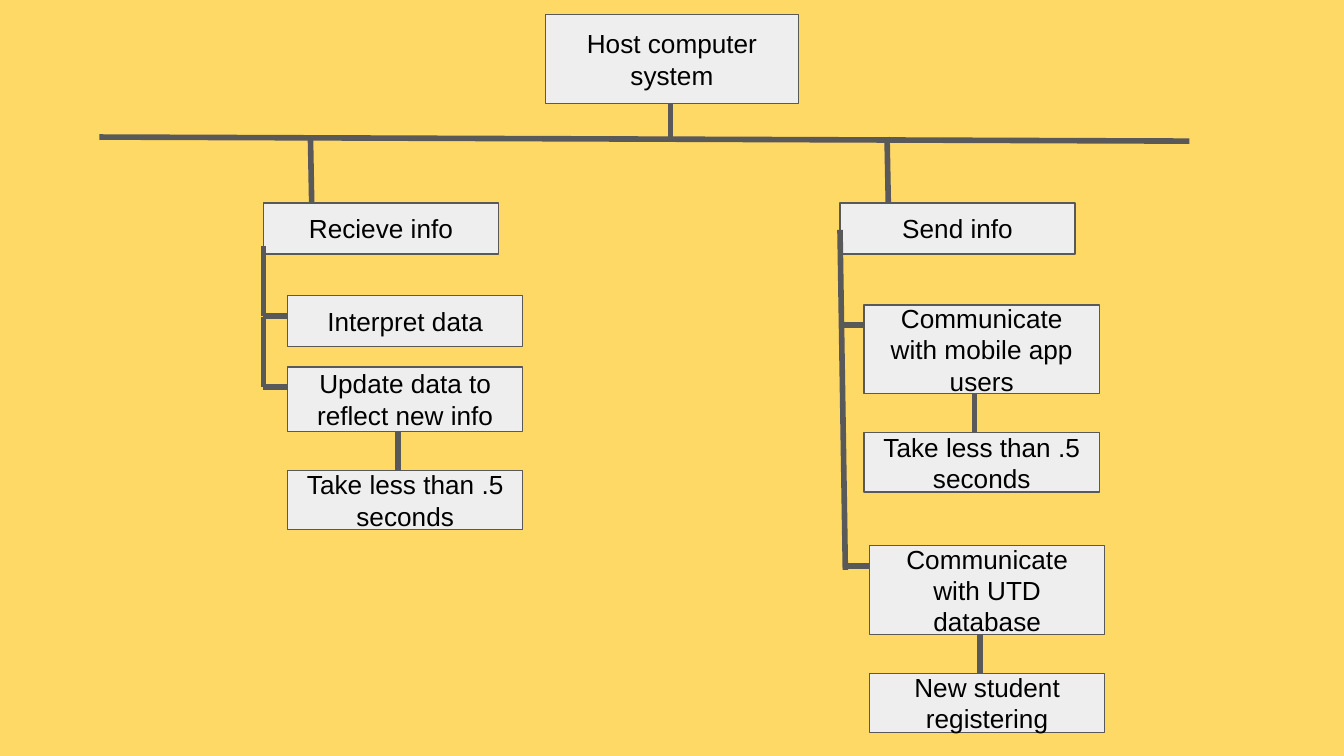
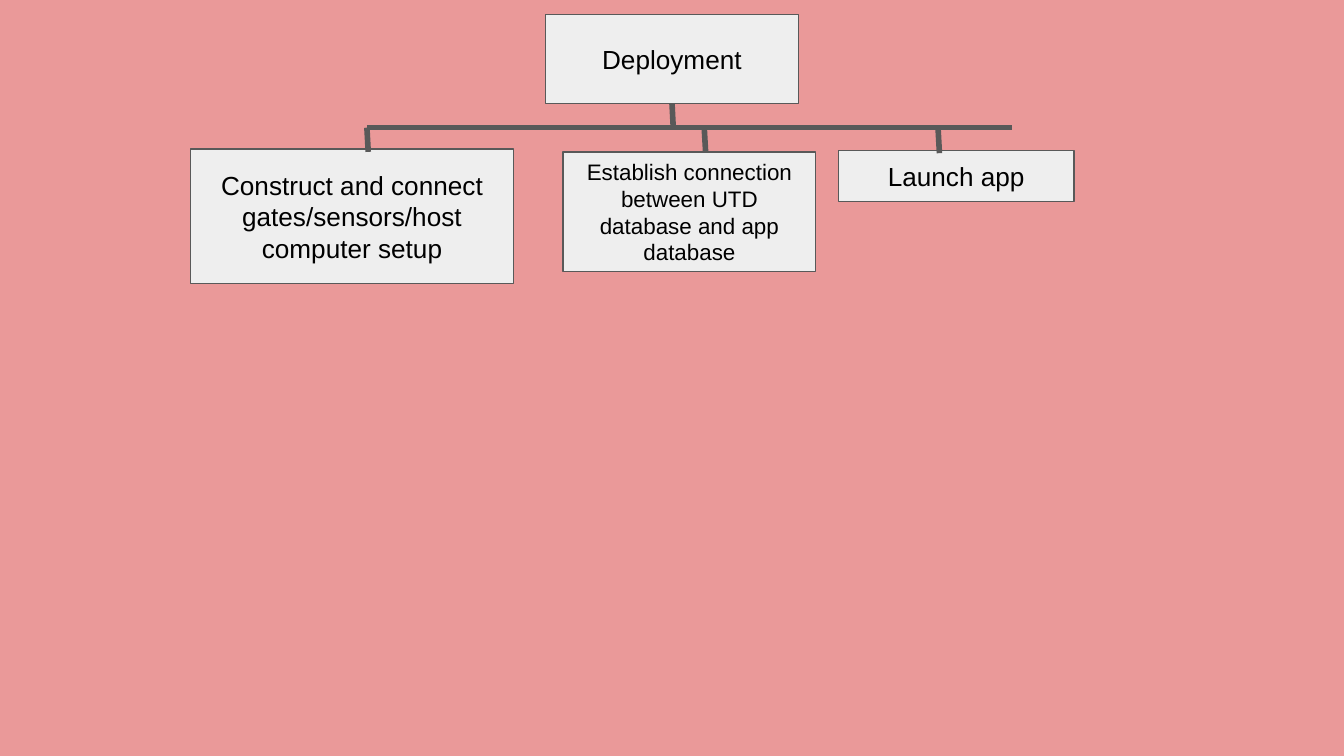
from dataclasses import dataclass
from lxml.etree import SubElement
from pptx import Presentation
from pptx.dml.color import RGBColor
from pptx.enum.shapes import MSO_CONNECTOR, MSO_SHAPE
from pptx.enum.text import MSO_ANCHOR, PP_ALIGN
from pptx.oxml.ns import qn
from pptx.util import Pt

PX = 9144  # 100 px to the inch


@dataclass(frozen=True)
class Theme:
    gold: str = "FFD966"
    rose: str = "EA9999"
    box: str = "EEEEEE"
    line: str = "595959"
    ink: str = "000000"
    font: str = "Arial"
    size: int = 14
    small: int = 12
    thin: float = 0.75
    thick: int = 3


theme = Theme()


def node(slide, text, *, at, size=theme.size):
    shape = slide.shapes.add_shape(MSO_SHAPE.RECTANGLE, *(n * PX for n in at))
    shape.shadow.inherit = False
    shape.fill.solid()
    shape.fill.fore_color.rgb = RGBColor.from_string(theme.box)
    shape.line.color.rgb = RGBColor.from_string(theme.line)
    shape.line.width = Pt(theme.thin)
    frame = shape.text_frame
    frame.word_wrap = True
    frame.vertical_anchor = MSO_ANCHOR.MIDDLE
    frame.margin_left = frame.margin_right = 10 * PX
    frame.margin_top = frame.margin_bottom = 10 * PX
    para = frame.paragraphs[0]
    para.alignment = PP_ALIGN.CENTER
    run = para.add_run()
    run.text = text
    run.font.name = theme.font
    run.font.size = Pt(size)
    run.font.color.rgb = RGBColor.from_string(theme.ink)


def link(slide, *ends):
    line = slide.shapes.add_connector(MSO_CONNECTOR.STRAIGHT, *(n * PX for n in ends))
    line.line.color.rgb = RGBColor.from_string(theme.line)
    line.line.width = Pt(theme.thick)
    SubElement(line._element.spPr, qn("a:effectLst"))


deck = Presentation()
deck.slide_width = 1000 * PX
deck.slide_height = deck.slide_width * 9 // 16

# Both slides: background and root box
pages = []
for color, root in [(theme.gold, "Host computer system"), (theme.rose, "Deployment")]:
    page = deck.slides.add_slide(deck.slide_layouts[6])
    page.background.fill.solid()
    page.background.fill.fore_color.rgb = RGBColor.from_string(color)
    node(page, root, at=(406, 11, 188, 66))
    pages.append(page)
host, deploy = pages

# Host system: trunk and bar
link(host, 499, 104, 499, 77)
link(host, 74, 102, 885, 105)

# Host system: each branch has a left edge, a head, spines and tasks;
# a task has an indent, top, height, text and an optional detail below it
wide, tall, gap = 175, 44, 29
branches = [
    (196, "Recieve info", [(196, 183, 196, 235), (196, 236, 196, 288)], [
        (18, 220, 38, "Interpret data", None),
        (18, 273, 48, "Update data to reflect new info", "Take less than .5 seconds"),
    ]),
    (625, "Send info", [(625, 171, 629, 424)], [
        (18, 227, 66, "Communicate with mobile app users", "Take less than .5 seconds"),
        (22, 406, 66, "Communicate with UTD database", "New student registering"),
    ]),
]
for left, head, spines, tasks in branches:
    link(host, left + 35, 102, left + 36, 154)
    node(host, head, at=(left, 151, wide, 38))
    for spine in spines:
        link(host, *spine)
    for indent, top, high, text, detail in tasks:
        x, base = left + indent, top + high
        node(host, text, at=(x, top, wide, high))
        link(host, x - 18, top + 15, x, top + 15)
        if detail:
            link(host, x + 82, base, x + 82, base + gap)
            node(host, detail, at=(x, base + gap, wide, tall))

# Deployment: steps
node(deploy, "Construct and connect gates/sensors/host computer setup",
     at=(142, 111, 240, 100))
node(deploy, "Launch app", at=(624, 112, wide, 38))
node(deploy, "Establish connection between UTD database and app database",
     at=(419, 113, 188, 89), size=theme.small)

# Deployment: bar, trunk and drops
link(deploy, 273, 95, 753, 95)
link(deploy, 501, 96, 500, 77)
for x, top in [(273, 95), (698, 96), (524, 95)]:
    link(deploy, x + 1, top + 18, x, top)

deck.save("out.pptx")
